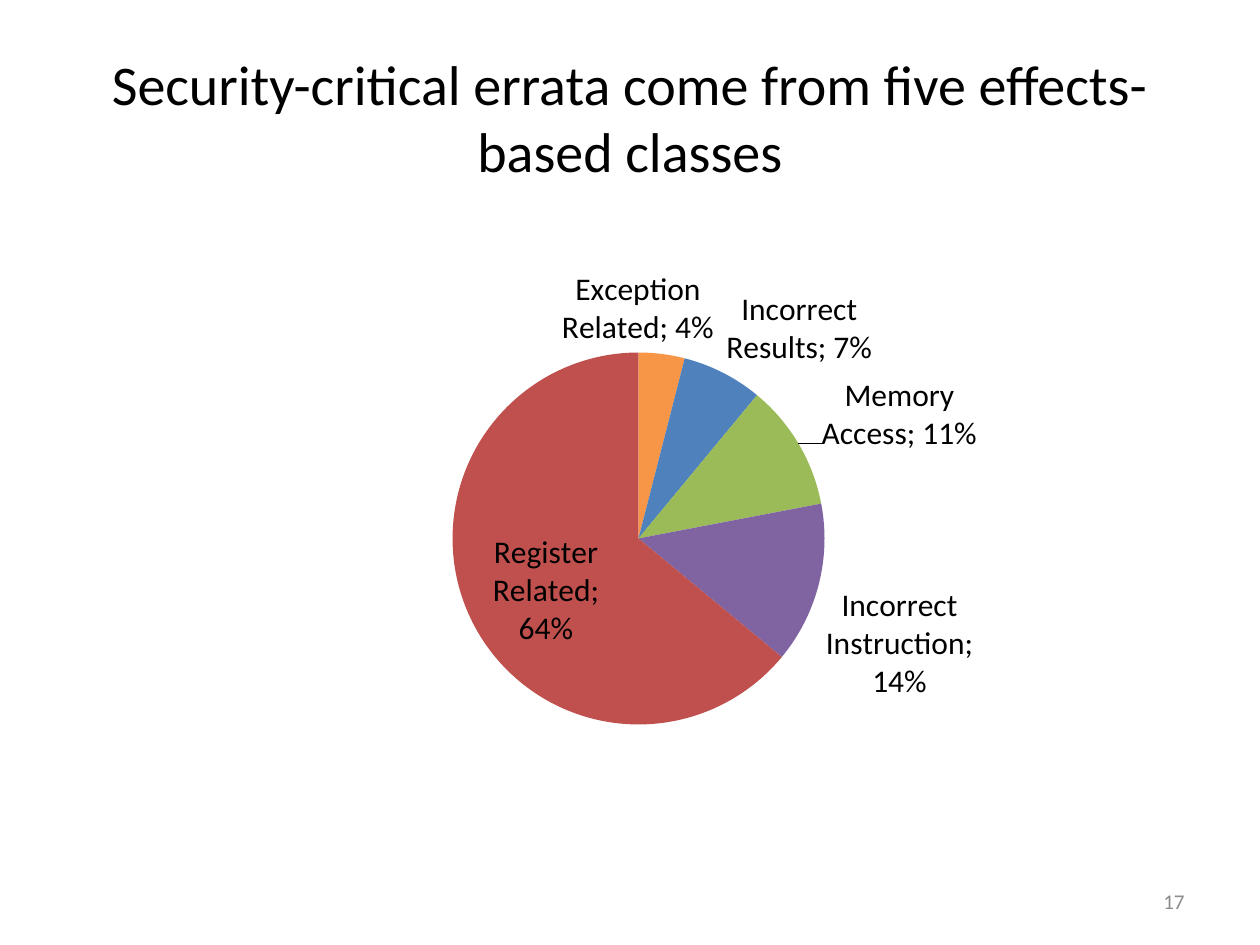
import dataclasses

import pptx
import pptx.chart.data
import pptx.dml.color
import pptx.enum.chart
import pptx.enum.text
import pptx.oxml
import pptx.oxml.ns
import pptx.util

Inches = pptx.util.Inches
Align = pptx.enum.text.PP_ALIGN
Spot = pptx.enum.chart.XL_LABEL_POSITION


@dataclasses.dataclass(frozen=True)
class Theme:
    """Colours, face and type sizes."""
    face: str = "Calibri"
    ink: str = "000000"
    grey: str = "8C8C8C"
    head: int = 32
    label: int = 18
    foot: int = 12


SLICES = [
    ("Exception Related", 0.04, "F79646"),
    ("Incorrect Results", 0.07, "4F81BD"),
    ("Memory Access", 0.11, "9BBB59"),
    ("Incorrect Instruction", 0.14, "8064A2"),
    ("Register Related", 0.64, "C0504D"),
]
SHIFTS = [
    (0, -0.12, 0, "outEnd"),
    (2, 0.02, 0.02, "outEnd"),
    (4, -0.01, 0.02, "ctr"),
]
LABEL = """<c:dLbl {ns}><c:idx val="{index}"/>
<c:layout><c:manualLayout><c:x val="{x}"/><c:y val="{y}"/></c:manualLayout></c:layout>
<c:numFmt formatCode="0%" sourceLinked="0"/><c:dLblPos val="{spot}"/>
<c:showLegendKey val="0"/><c:showVal val="1"/><c:showCatName val="1"/>
<c:showSerName val="0"/><c:showPercent val="0"/><c:showBubbleSize val="0"/>
<c:separator>; </c:separator></c:dLbl>"""
PLOT = """<c:layout {ns}><c:manualLayout><c:layoutTarget val="inner"/>
<c:xMode val="edge"/><c:yMode val="edge"/><c:x val="0.28"/><c:y val="0.2"/>
<c:w val="0.45"/><c:h val="0.61"/></c:manualLayout></c:layout>"""


class Deck:
    """Holds the style and the current slide."""

    def __init__(self, theme):
        self.theme = theme
        self.show = pptx.Presentation()
        self.show.slide_width, self.show.slide_height = Inches(10), Inches(7.5)
        self.slide = self.show.slides.add_slide(self.show.slide_layouts[5])

    def font(self, font, size, tint):
        font.name, font.size = self.theme.face, pptx.util.Pt(size)
        font.color.rgb = pptx.dml.color.RGBColor.from_string(tint)

    def text(self, shape, text, size, tint, align):
        frame = shape.text_frame
        frame.text = text
        frame.word_wrap = True
        frame.vertical_anchor = pptx.enum.text.MSO_ANCHOR.MIDDLE
        frame.paragraphs[0].alignment = align
        self.font(frame.paragraphs[0].runs[0].font, size, tint)

    def title(self, text, box):
        shape = self.slide.shapes.title
        shape.left, shape.top, shape.width, shape.height = map(Inches, box)
        self.text(shape, text, self.theme.head, self.theme.ink, Align.CENTER)

    def note(self, text, box):
        shape = self.slide.shapes.add_textbox(*map(Inches, box))
        self.text(shape, text, self.theme.foot, self.theme.grey, Align.RIGHT)

    def pie(self, slices, shifts, box):
        data = pptx.chart.data.CategoryChartData(number_format="0%")
        data.categories = [name for name, _, _ in slices]
        data.add_series("Series 1", [value for _, value, _ in slices])
        kind = pptx.enum.chart.XL_CHART_TYPE.PIE
        chart = self.slide.shapes.add_chart(kind, *map(Inches, box), data).chart
        chart.has_title = chart.has_legend = False
        self.font(chart.font, self.theme.label, self.theme.ink)
        chart.plots[0].vary_by_categories = True
        series = chart.plots[0].series[0]
        for index, (_, _, tint) in enumerate(slices):
            fill = series.points[index].format.fill
            fill.solid()
            fill.fore_color.rgb = pptx.dml.color.RGBColor.from_string(tint)
        self.labels(series.data_labels, shifts)
        area = chart.plots[0]._element.getparent()
        for old in area.findall(pptx.oxml.ns.qn("c:layout")):
            area.remove(old)
        area.insert(0, pptx.oxml.parse_xml(PLOT.format(ns=pptx.oxml.ns.nsdecls("c"))))

    def labels(self, labels, shifts):
        labels.show_value = labels.show_category_name = True
        labels.show_percentage = labels.show_legend_key = False
        labels.number_format, labels.number_format_is_linked = "0%", False
        labels.position = Spot.OUTSIDE_END
        self.font(labels.font, self.theme.label, self.theme.ink)
        root = labels._element
        mark = pptx.oxml.parse_xml(
            f'<c:separator {pptx.oxml.ns.nsdecls("c")}>; </c:separator>')
        last = root.find(pptx.oxml.ns.qn("c:showBubbleSize"))
        if last is None:
            last = root.find(pptx.oxml.ns.qn("c:showPercent"))
        last.addnext(mark)
        for order, (index, x, y, spot) in enumerate(shifts):
            root.insert(order, pptx.oxml.parse_xml(LABEL.format(
                ns=pptx.oxml.ns.nsdecls("c"), index=index, x=x, y=y, spot=spot)))


def main():
    deck = Deck(Theme())
    deck.title("Security-critical errata come from five effects-based classes",
               (0.5, 0.3, 9, 1.25))
    deck.note("17", (7.17, 6.95, 2.33, 0.4))
    deck.pie(SLICES, SHIFTS, (1.7, 1.83, 6.67, 4.84))
    deck.show.save("out.pptx")


if __name__ == "__main__":
    main()
